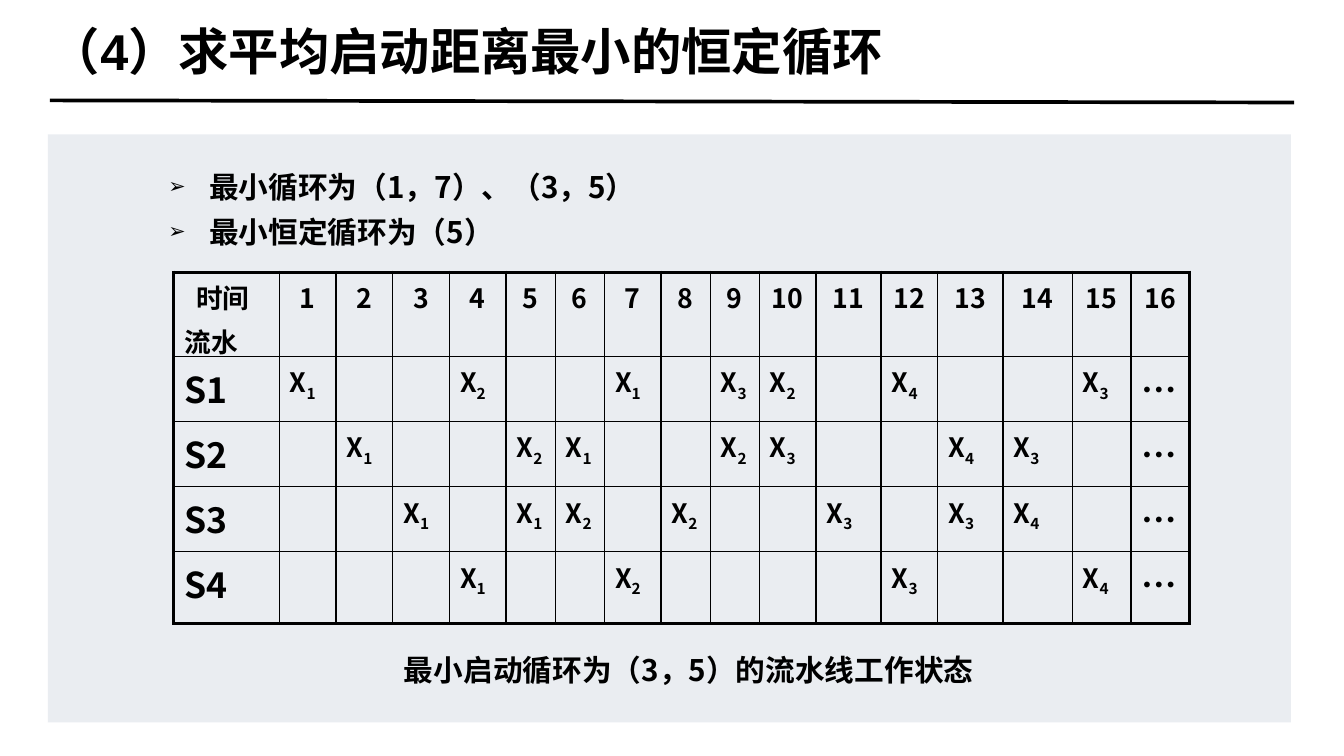
from lxml import etree
from pptx import Presentation
from pptx.dml.color import RGBColor
from pptx.enum.shapes import MSO_CONNECTOR, MSO_SHAPE
from pptx.enum.text import MSO_ANCHOR, PP_ALIGN
from pptx.oxml.ns import qn
from pptx.util import Cm, Pt

STRAIGHT = MSO_CONNECTOR.STRAIGHT
RECTANGLE = MSO_SHAPE.RECTANGLE
MIDDLE = MSO_ANCHOR.MIDDLE
CENTER = PP_ALIGN.CENTER

COLORS = {"ink": "000000", "panel": "D6DCE5"}
TITLE_FONT, BODY_FONT = "Arial", "Noto Sans CJK SC"

TITLE = "（4）求平均启动距离最小的恒定循环"
BULLETS = ["最小循环为（1，7）、（3，5）", "最小恒定循环为（5）"]
CAPTION = "最小启动循环为（3，5）的流水线工作状态"
AXES = ("时间", "流水")
LAST_TIME = 16
# For each stage: time -> number of the task X that occupies it
RESERVATIONS = {
    "S1": {1: 1, 4: 2, 7: 1, 9: 3, 10: 2, 12: 4, 15: 3},
    "S2": {2: 1, 5: 2, 6: 1, 9: 2, 10: 3, 13: 4, 14: 3},
    "S3": {3: 1, 5: 1, 6: 2, 8: 2, 11: 3, 13: 3, 14: 4},
    "S4": {4: 1, 7: 2, 12: 3, 15: 4},
}
COLUMN_WIDTHS = [2.51, 1.35, 1.35, 1.35, 1.35, 1.17, 1.17, 1.35, 1.17,
                 1.17, 1.35, 1.55, 1.35, 1.55, 1.65, 1.4, 1.4]
ROW_HEIGHTS = [2.01, 1.55, 1.55, 1.55, 1.7]
THIN, THICK = 1, 2.25


def add_span(para, text, size, font=BODY_FONT):
    span = para.add_run()
    span.text = text
    span.font.size = Pt(size)
    span.font.bold = True
    span.font.name = font
    span.font.color.rgb = RGBColor.from_string(COLORS["ink"])
    etree.SubElement(span.font._element, qn("a:ea"), typeface=BODY_FONT)
    return span


def add_box(page, left, top, width, height):
    box = page.shapes.add_textbox(Cm(left), Cm(top), Cm(width), Cm(height))
    box.text_frame.word_wrap = True
    return box.text_frame


def set_indent(para, margin, indent=0):
    properties = para._p.get_or_add_pPr()
    properties.set("marL", str(Cm(margin)))
    properties.set("indent", str(Cm(indent)))
    return properties


def add_title(page):
    frame = add_box(page, 1.19, 0.41, 29.6, 1.6)
    frame.margin_left = frame.margin_right = 0
    frame.margin_top = frame.margin_bottom = 0
    frame.vertical_anchor = MIDDLE
    add_span(frame.paragraphs[0], TITLE, 34, TITLE_FONT)
    rule = page.shapes.add_connector(STRAIGHT, Cm(1.19), Cm(2.39), Cm(30.81), Cm(2.44))
    rule.line.color.rgb = RGBColor.from_string(COLORS["ink"])
    rule.line.width = Pt(2.5)
    etree.SubElement(rule._element.spPr, qn("a:effectLst"))


def add_panel(page):
    panel = page.shapes.add_shape(RECTANGLE, Cm(1.14), Cm(3.2), Cm(29.6), Cm(14))
    panel.shadow.inherit = False
    panel.line.fill.background()
    panel.fill.solid()
    panel.fill.fore_color.rgb = RGBColor.from_string(COLORS["panel"])
    color = panel._element.spPr.find(".//" + qn("a:srgbClr"))
    etree.SubElement(color, qn("a:alpha"), val="50000")


def add_bullets(page):
    frame = add_box(page, 3.76, 3.81, 29.03, 1.73)
    for index, text in enumerate(BULLETS):
        para = frame.add_paragraph() if index else frame.paragraphs[0]
        properties = set_indent(para, 0.97, -0.97)
        etree.SubElement(properties, qn("a:buSzPct"), val="70000")
        etree.SubElement(properties, qn("a:buFont"), typeface="Arial")
        etree.SubElement(properties, qn("a:buChar"), char="➢")
        para.line_spacing = 1.1
        para.space_before = Pt(2 if index else 0)
        para.space_after = Pt(2)
        add_span(para, text, 20)


def set_borders(cell, widths):
    """Clear the fill and draw borders; widths are left, right, top, bottom."""
    cell.fill.background()
    properties = cell._tc.get_or_add_tcPr()
    for position, (side, width) in enumerate(zip("LRTB", widths)):
        line = etree.Element(qn("a:ln" + side), w=str(Pt(width)))
        fill = etree.SubElement(line, qn("a:solidFill"))
        etree.SubElement(fill, qn("a:srgbClr"), val=COLORS["ink"])
        properties.insert(position, line)


def fill_header(table):
    time, stage = AXES
    frame = table.cell(0, 0).text_frame
    para = frame.paragraphs[0]
    set_indent(para, 0.28)
    add_span(para, time, 18)
    para = frame.add_paragraph()
    para.space_before = Pt(3.6)
    add_span(para, stage, 18)
    for moment in range(1, LAST_TIME + 1):
        para = table.cell(0, moment).text_frame.paragraphs[0]
        para.alignment = CENTER
        add_span(para, str(moment), 18)


def fill_stages(table):
    for row, (stage, tasks) in enumerate(RESERVATIONS.items(), 1):
        for column, text in ((0, stage), (LAST_TIME, "…")):
            add_span(table.cell(row, column).text_frame.paragraphs[0], text, 24)
        for moment, task in tasks.items():
            para = table.cell(row, moment).text_frame.paragraphs[0]
            add_span(para, "X", 18)
            subscript = add_span(para, str(task), 18)
            subscript.font._element.set("baseline", "-25000")


def add_reservation_table(page):
    rows, columns = len(ROW_HEIGHTS), len(COLUMN_WIDTHS)
    table = page.shapes.add_table(
        rows, columns, Cm(4.14), Cm(6.48),
        Cm(sum(COLUMN_WIDTHS)), Cm(sum(ROW_HEIGHTS))).table
    table.first_row = table.horz_banding = False
    for column, width in zip(table.columns, COLUMN_WIDTHS):
        column.width = Cm(width)
    for row, height in zip(table.rows, ROW_HEIGHTS):
        row.height = Cm(height)
    for row in range(rows):
        for column in range(columns):
            outer = (column == 0, column == columns - 1, row == 0, row == rows - 1)
            set_borders(table.cell(row, column),
                        [THICK if edge else THIN for edge in outer])
    fill_header(table)
    fill_stages(table)


def main():
    deck = Presentation()
    deck.slide_width, deck.slide_height = Cm(32), Cm(18)
    page = deck.slides.add_slide(deck.slide_layouts[6])
    add_title(page)
    add_panel(page)
    add_bullets(page)
    add_reservation_table(page)
    caption = add_box(page, 9.37, 15.39, 17.81, 1.12)
    add_span(caption.paragraphs[0], CAPTION, 20)
    deck.save("out.pptx")


if __name__ == "__main__":
    main()
